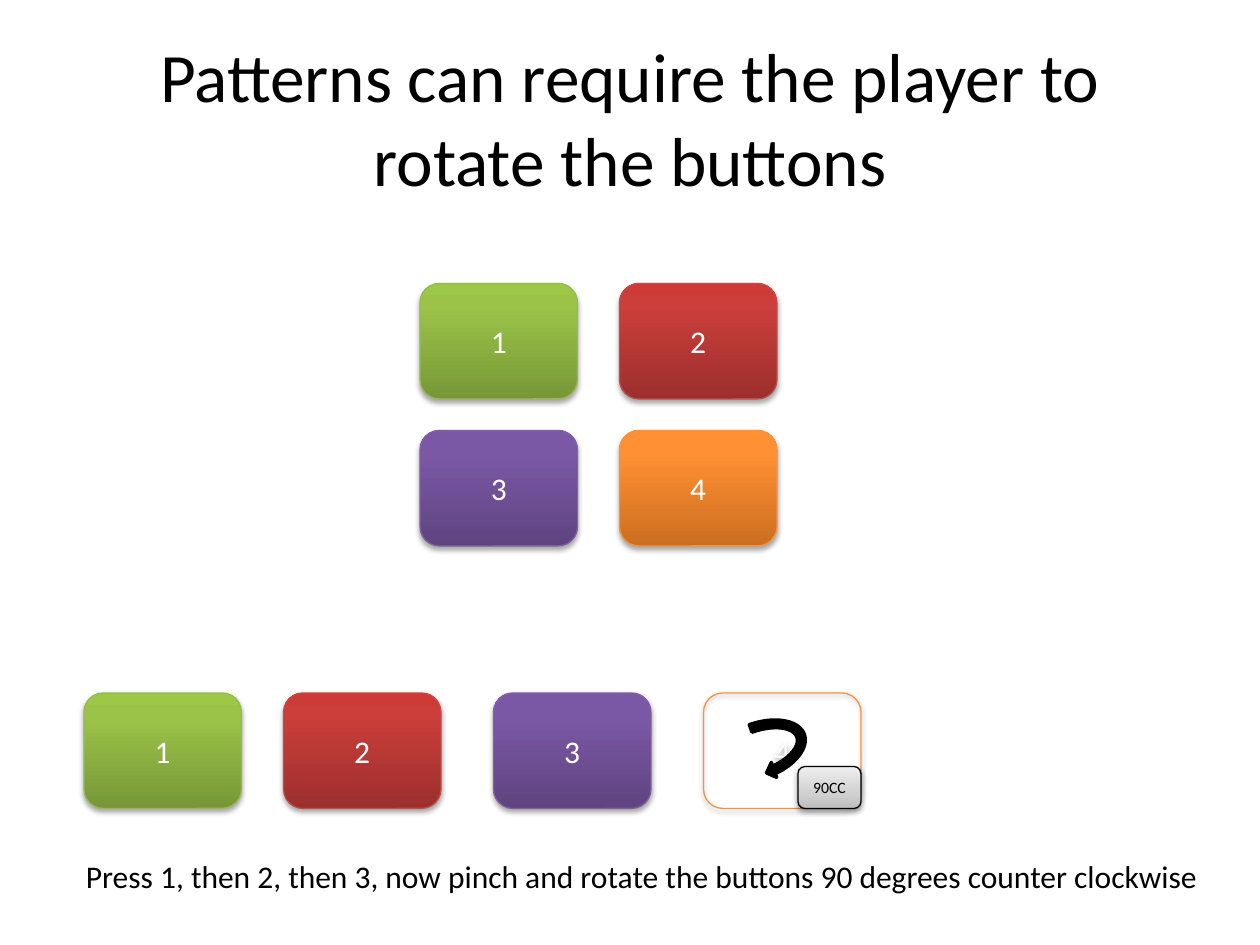
"""Build a slide that shows a button pattern ending in a rotation."""
from lxml.etree import SubElement
from pptx import Presentation
from pptx.dml.color import RGBColor
from pptx.enum.shapes import MSO_SHAPE
from pptx.enum.text import MSO_ANCHOR, PP_ALIGN
from pptx.oxml.ns import qn
from pptx.util import Pt

PX = 9525
COLORS = {
    "black": "000000",
    "white": "FFFFFF",
    "green": "98B955",
    "red": "BF4C48",
    "purple": "7D60A0",
    "orange": "F69240",
}
GRADIENTS = {
    "green": {0: "779737", 80: "9BC348", 100: "9DC746"},
    "red": {0: "9C2F2D", 80: "CB3E3A", 100: "CE3B37"},
    "purple": {0: "5F4480", 80: "7B58A6", 100: "7C57A8"},
    "orange": {0: "CC6E20", 80: "FF9034", 100: "FF9136"},
    "gray": {0: "BDBDBD", 35: "D1D1D1", 100: "EEEEEE"},
}
BUTTON_WIDTH, BUTTON_HEIGHT = 120, 88


def write_text(box, text, size=18, color="black", align=PP_ALIGN.CENTER, anchor=MSO_ANCHOR.MIDDLE):
    frame = box.text_frame
    frame.word_wrap = True
    frame.vertical_anchor = anchor
    para = frame.paragraphs[0]
    para.alignment = align
    span = para.add_run()
    span.text = text
    span.font.name = "Calibri"
    span.font.size = Pt(size)
    span.font.color.rgb = RGBColor.from_string(COLORS[color])


def add_button(page, text, left, top, width=BUTTON_WIDTH, height=BUTTON_HEIGHT,
               gradient=None, line="black", size=18, color="white", opacity=35):
    box = page.shapes.add_shape(
        MSO_SHAPE.ROUNDED_RECTANGLE, left * PX, top * PX, width * PX, height * PX)
    box.line.color.rgb = RGBColor.from_string(COLORS[line])
    box.line.width = Pt(0.75)
    if gradient:
        box.fill.gradient()
        fill = box._element.spPr.find(qn("a:gradFill"))
        fill.find(qn("a:lin")).set("ang", "16200000")
        stops = fill.find(qn("a:gsLst"))
        for stop in list(stops):
            stops.remove(stop)
        for position, shade in GRADIENTS[gradient].items():
            stop = SubElement(stops, qn("a:gs"), pos=str(position * 1000))
            SubElement(stop, qn("a:srgbClr"), val=shade)
    else:
        box.fill.background()
    box.shadow.inherit = False
    effects = box._element.spPr.find(qn("a:effectLst"))
    shadow = SubElement(effects, qn("a:outerShdw"), blurRad="40000", dist="23000",
                        dir="5400000", rotWithShape="0")
    tone = SubElement(shadow, qn("a:srgbClr"), val=COLORS["black"])
    SubElement(tone, qn("a:alpha"), val=str(opacity * 1000))
    write_text(box, text, size=size, color=color)


deck = Presentation()
deck.slide_width, deck.slide_height = 960 * PX, 720 * PX
page = deck.slides.add_slide(deck.slide_layouts[5])

title = page.shapes.title
title.left, title.top, title.width, title.height = 48 * PX, 29 * PX, 864 * PX, 120 * PX
write_text(title, "Patterns can require the player to rotate the buttons", size=39.6)

buttons = ["green", "red", "purple", "orange"]
for index, name in enumerate(buttons):
    row, column = divmod(index, 2)
    add_button(page, str(index + 1), 320 + column * 152, 216 + row * 112,
               gradient=name, line=name)

for index, (name, left) in enumerate(zip(buttons, [64, 216, 376, 536])):
    add_button(page, str(index + 1), left, 528,
               gradient=None if name == "orange" else name, line=name)

arrow = page.shapes.add_shape(
    MSO_SHAPE.CIRCULAR_ARROW, 554 * PX, 532 * PX, 48 * PX, 80 * PX)
arrow.rotation = 70.4
arrow.shadow.inherit = False
arrow.fill.solid()
arrow.fill.fore_color.rgb = RGBColor.from_string(COLORS["black"])
arrow.line.color.rgb = RGBColor.from_string(COLORS["black"])
arrow.line.width = Pt(2)

add_button(page, "90CC", 608, 584, width=48, height=32,
           gradient="gray", size=9, color="black", opacity=38)

caption = page.shapes.add_textbox(56 * PX, 648 * PX, 888 * PX, 39 * PX)
write_text(caption,
           "Press 1, then 2, then 3, now pinch and rotate the buttons 90 degrees counter clockwise",
           align=PP_ALIGN.LEFT, anchor=MSO_ANCHOR.TOP)

deck.save("out.pptx")
